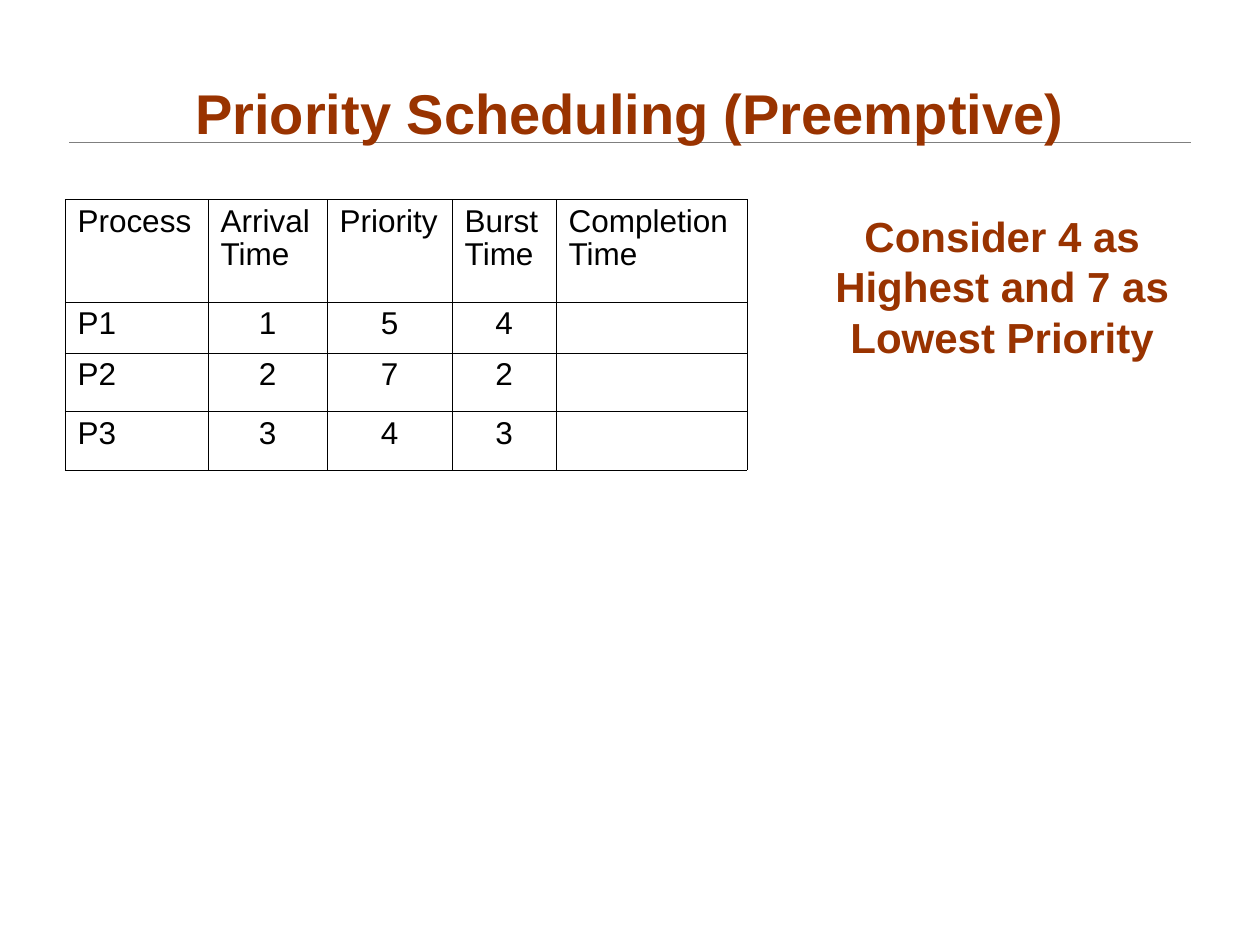
from lxml import etree
from pptx import Presentation
from pptx.dml.color import RGBColor
from pptx.enum.shapes import MSO_CONNECTOR
from pptx.enum.text import MSO_ANCHOR, MSO_AUTO_SIZE, PP_ALIGN
from pptx.oxml import parse_xml
from pptx.oxml.ns import nsdecls, qn
from pptx.util import Pt

STRAIGHT = MSO_CONNECTOR.STRAIGHT
BOTTOM = MSO_ANCHOR.BOTTOM
NO_AUTOFIT = MSO_AUTO_SIZE.NONE
LEFT, CENTER = PP_ALIGN.LEFT, PP_ALIGN.CENTER
BROWN, BLACK, GRAY = "993300", "000000", "7F7F7F"
BORDER_WIDTH = Pt(0.11)


def color(hex_string):
    return RGBColor.from_string(hex_string)


def write(frame, text, size=18, hex_color=BLACK, bold=False, align=LEFT, spacing=1.0):
    frame.word_wrap = True
    para = frame.paragraphs[0]
    para.alignment = align
    para.line_spacing = spacing
    span = para.add_run()
    span.text = text
    span.font.name = "Arial"
    span.font.size = Pt(size)
    span.font.bold = bold
    span.font.color.rgb = color(hex_color)


deck = Presentation()
deck.slide_width, deck.slide_height = Pt(720), Pt(540)
page = deck.slides.add_slide(deck.slide_layouts[5])

# Title with a thin rule behind it
title = page.shapes.title
title.left, title.top, title.width, title.height = Pt(54), Pt(36), Pt(612), Pt(51)
title.text_frame.auto_size = NO_AUTOFIT
title.text_frame.vertical_anchor = BOTTOM
write(title.text_frame, "Priority Scheduling (Preemptive)",
      size=32, hex_color=BROWN, bold=True, align=CENTER)

rule = page.shapes.add_connector(STRAIGHT, Pt(39.6), Pt(81.2), Pt(680.4), Pt(81.2))
rule.line.color.rgb = color(GRAY)
rule.line.width = Pt(0.25)
etree.SubElement(rule._element.spPr, qn("a:effectLst"))
title._element.addprevious(rule._element)

# Process table
rows = [
    ["Process", "Arrival Time", "Priority", "Burst Time", "Completion Time"],
    ["P1", "1", "5", "4", ""],
    ["P2", "2", "7", "2", ""],
    ["P3", "3", "4", "3", ""],
]
column_widths = [81.8, 68, 71.5, 59.4, 109.3]
row_heights = [58.7, 28.7, 33.5, 33.3]
table = page.shapes.add_table(
    len(rows), len(column_widths), Pt(37.1), Pt(113.8),
    Pt(sum(column_widths)), Pt(sum(row_heights))).table
table.first_row = table.horz_banding = False
for column, width in zip(table.columns, column_widths):
    column.width = Pt(width)
for row, height in zip(table.rows, row_heights):
    row.height = Pt(height)

for row_index, texts in enumerate(rows):
    for column_index, text in enumerate(texts):
        cell = table.cell(row_index, column_index)
        if text:
            is_value = row_index > 0 and column_index > 0
            write(cell.text_frame, text, align=CENTER if is_value else LEFT, spacing=0.94)
        properties = cell._tc.get_or_add_tcPr()
        for side in ("lnL", "lnR", "lnT", "lnB"):
            properties.append(parse_xml(
                f'<a:{side} {nsdecls("a")} w="{BORDER_WIDTH}"><a:solidFill>'
                f'<a:srgbClr val="{BLACK}"/></a:solidFill></a:{side}>'))
        cell.fill.background()

# Priority rule beside the table
note = page.shapes.add_textbox(Pt(444.2), Pt(114.5), Pt(257), Pt(95.8))
note.text_frame.vertical_anchor = BOTTOM
write(note.text_frame, "Consider 4 as Highest and 7 as Lowest Priority",
      size=24, hex_color=BROWN, bold=True, align=CENTER)

deck.save("out.pptx")
